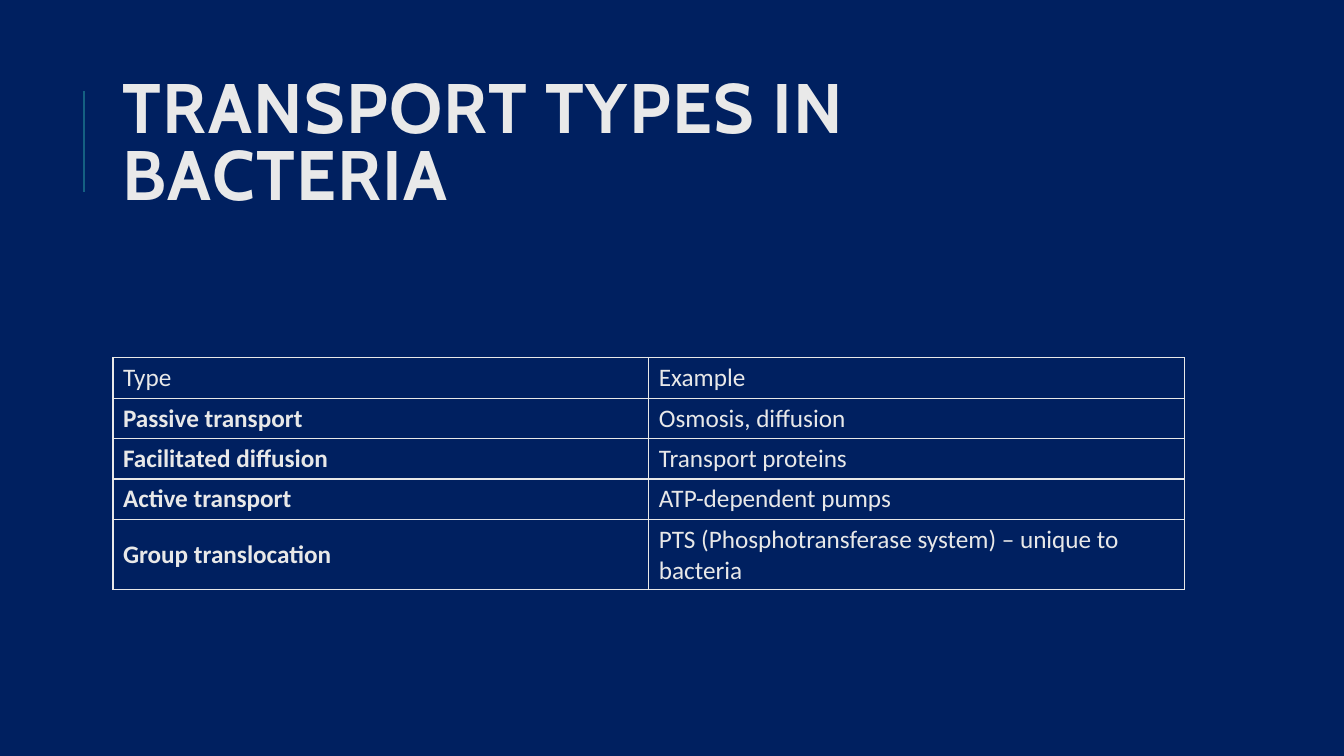
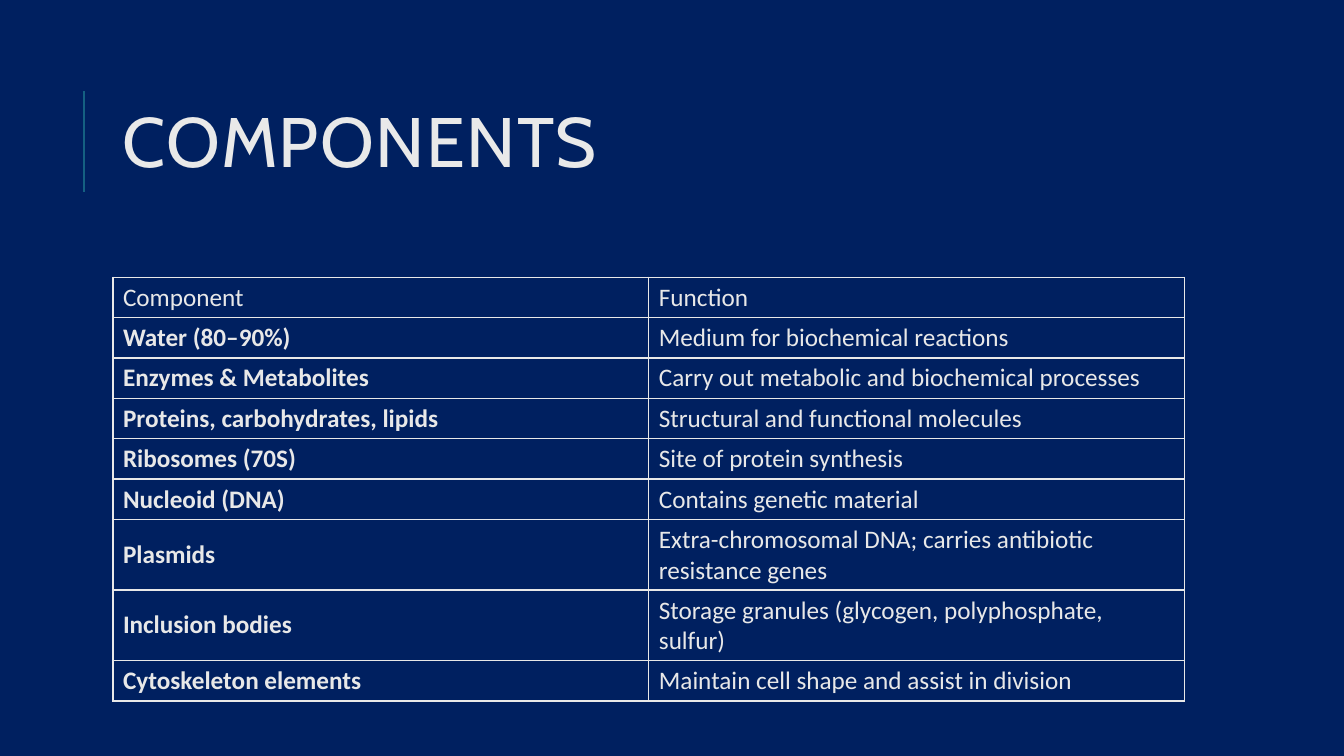
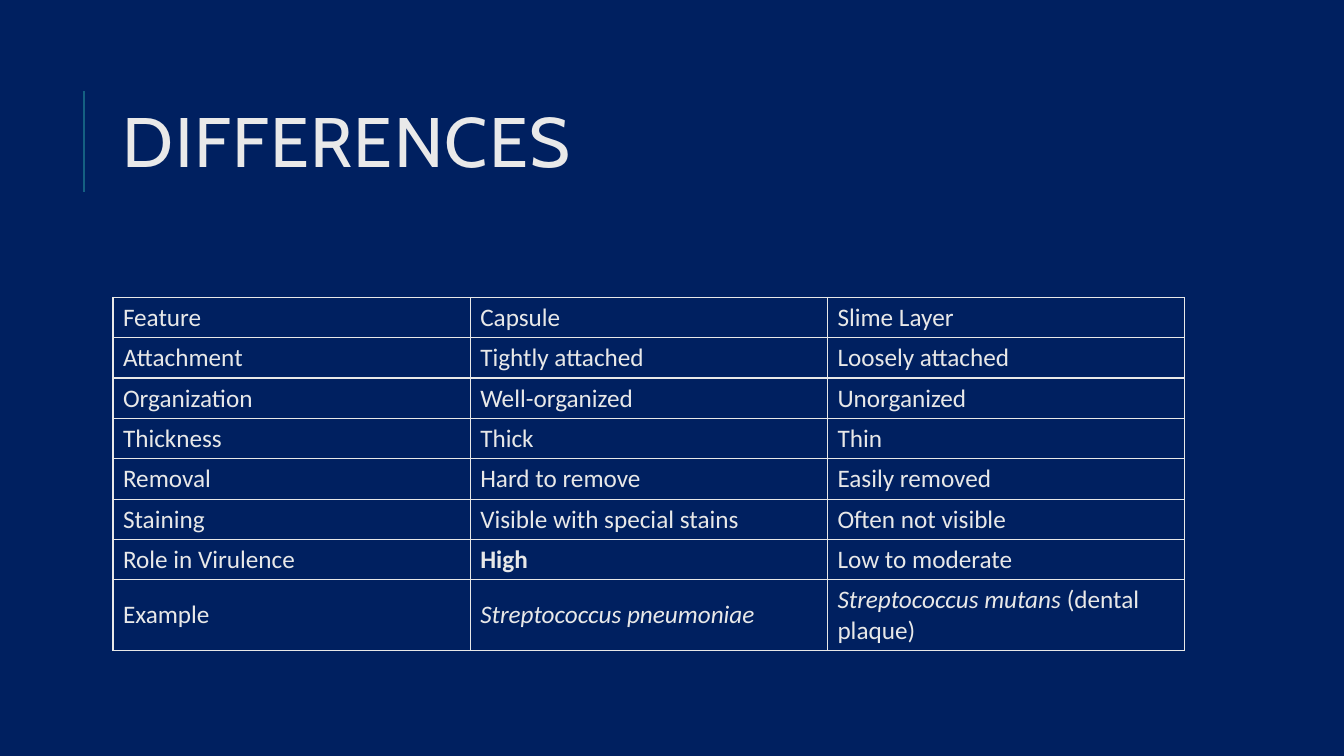
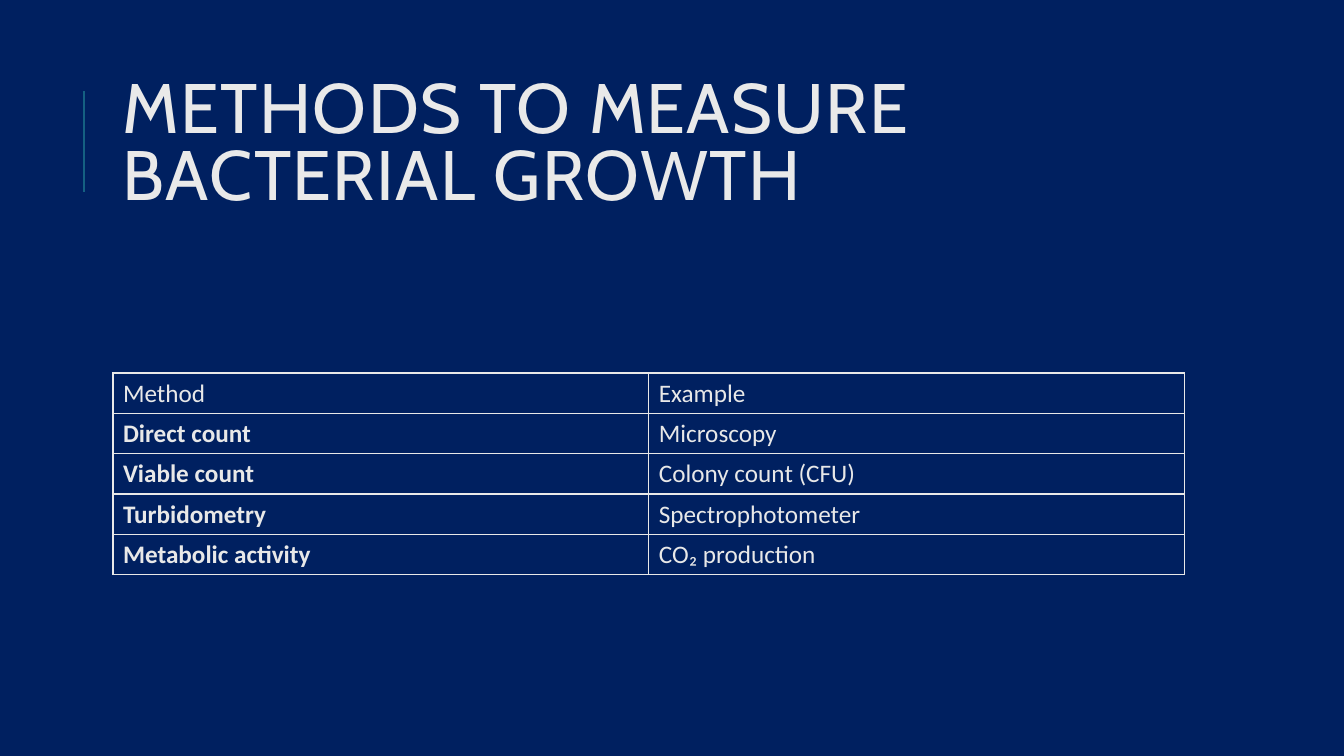
"""Build four slides of bacteriology tables on a dark blue background."""
import lxml.etree
import pptx
import pptx.dml.color
import pptx.enum.shapes
import pptx.enum.text
import pptx.oxml.ns
import pptx.util

Inches = pptx.util.Inches
Pt = pptx.util.Pt
RGBColor = pptx.dml.color.RGBColor
qn = pptx.oxml.ns.qn

NAVY = RGBColor(0x00, 0x20, 0x60)
TEAL = RGBColor(0x15, 0x60, 0x82)
TITLE_GREY = RGBColor(0xE9, 0xE9, 0xE9)
TABLE_GREY = RGBColor(0xE8, 0xE8, 0xE8)

LEFT = 1.12
CONTENT_WIDTH = 10.63
ROW_HEIGHT = 0.4
MIDDLE = pptx.enum.text.MSO_ANCHOR.MIDDLE

TITLE_FORMAT = {"name": "Cabin", "size": Pt(50)}
CELL_FORMAT = {"name": "Calibri", "size": Pt(18)}
BOLD = {"bold": True}
ITALIC = {"italic": True}

TRANSPORT_ROWS = [
    ("Type", "Example"),
    ("Passive transport", "Osmosis, diffusion"),
    ("Facilitated diffusion", "Transport proteins"),
    ("Active transport", "ATP-dependent pumps"),
    ("Group translocation", "PTS (Phosphotransferase system) – unique to bacteria"),
]
COMPONENT_ROWS = [
    ("Component", "Function"),
    ("Water (80–90%)", "Medium for biochemical reactions"),
    ("Enzymes & Metabolites", "Carry out metabolic and biochemical processes"),
    ("Proteins, carbohydrates, lipids", "Structural and functional molecules"),
    ("Ribosomes (70S)", "Site of protein synthesis"),
    ("Nucleoid (DNA)", "Contains genetic material"),
    ("Plasmids", "Extra-chromosomal DNA; carries antibiotic resistance genes"),
    ("Inclusion bodies", "Storage granules (glycogen, polyphosphate, sulfur)"),
    ("Cytoskeleton elements", "Maintain cell shape and assist in division"),
]
DIFFERENCE_ROWS = [
    ("Feature", "Capsule", "Slime Layer"),
    ("Attachment", "Tightly attached", "Loosely attached"),
    ("Organization", "Well-organized", "Unorganized"),
    ("Thickness", "Thick", "Thin"),
    ("Removal", "Hard to remove", "Easily removed"),
    ("Staining", "Visible with special stains", "Often not visible"),
    ("Role in Virulence", [("High", BOLD)], "Low to moderate"),
    ("Example", [("Streptococcus pneumoniae", ITALIC)],
     [("Streptococcus mutans", ITALIC), (" (dental plaque)", {})]),
]
METHOD_ROWS = [
    ("Method", "Example"),
    ("Direct count", "Microscopy"),
    ("Viable count", "Colony count (CFU)"),
    ("Turbidometry", "Spectrophotometer"),
    ("Metabolic activity", "CO₂ production"),
]


def bold_labels(rows):
    """Make the first cell of every row below the header bold."""
    return rows[:1] + [([(label, BOLD)], *rest) for label, *rest in rows[1:]]


def add_span(para, text, color, *formats):
    """Add a run of text in the given colour and formats."""
    span = para.add_run()
    span.text = text
    span.font.color.rgb = color
    for values in formats:
        for name, value in values.items():
            setattr(span.font, name, value)
    return span


def add_side_line(page):
    """Draw the thin vertical line left of the title."""
    line = page.shapes.add_connector(
        pptx.enum.shapes.MSO_CONNECTOR.STRAIGHT,
        Inches(0.83), Inches(1.9), Inches(0.83), Inches(0.9))
    line.line.color.rgb = TEAL
    line.line.width = Pt(1.5)
    lxml.etree.SubElement(line._element.spPr, qn("a:effectLst"))


def add_title(page, text, bold):
    """Add the large title, centred vertically in its box."""
    box = page.shapes.add_textbox(
        Inches(LEFT), Inches(0.64), Inches(CONTENT_WIDTH), Inches(1.64))
    frame = box.text_frame
    frame.word_wrap = True
    frame.vertical_anchor = MIDDLE
    para = frame.paragraphs[0]
    para.line_spacing = 0.8
    span = add_span(para, text, TITLE_GREY, TITLE_FORMAT, {"bold": bold})
    span.font._element.set("spc", "100")


def add_borders(cell):
    """Draw a one-point line on all four sides of a cell."""
    properties = cell._tc.get_or_add_tcPr()
    for side in ("a:lnL", "a:lnR", "a:lnT", "a:lnB"):
        border = lxml.etree.SubElement(properties, qn(side), w=str(Pt(1)))
        fill = lxml.etree.SubElement(border, qn("a:solidFill"))
        lxml.etree.SubElement(fill, qn("a:srgbClr"), val=str(TABLE_GREY))


def fill_cell(cell, content):
    """Write a plain string or a list of formatted spans into a cell."""
    add_borders(cell)
    cell.fill.background()
    cell.vertical_anchor = MIDDLE
    spans = [(content, {})] if isinstance(content, str) else content
    for text, values in spans:
        add_span(cell.text_frame.paragraphs[0], text, TABLE_GREY, CELL_FORMAT, values)


def add_grid(page, top, rows):
    """Add a bordered table with equal columns."""
    columns = len(rows[0])
    table = page.shapes.add_table(
        len(rows), columns, Inches(LEFT), Inches(top),
        Inches(CONTENT_WIDTH), Inches(ROW_HEIGHT * len(rows))).table
    table.first_row = False
    table.horz_banding = False
    for row_index, row in enumerate(rows):
        for column_index, content in enumerate(row):
            fill_cell(table.cell(row_index, column_index), content)


def add_page(deck, title, top, rows, bold=False):
    """Add one slide with its line, title and table."""
    page = deck.slides.add_slide(deck.slide_layouts[6])
    add_side_line(page)
    add_title(page, title, bold)
    add_grid(page, top, rows)


def main():
    """Build and save the deck."""
    deck = pptx.Presentation()
    deck.slide_width = Inches(13.33)
    deck.slide_height = Inches(7.5)
    background = deck.slide_master.background.fill
    background.solid()
    background.fore_color.rgb = NAVY
    add_page(deck, "TRANSPORT TYPES IN BACTERIA", 3.55, bold_labels(TRANSPORT_ROWS), bold=True)
    add_page(deck, "COMPONENTS", 2.75, bold_labels(COMPONENT_ROWS))
    add_page(deck, "DIFFERENCES", 2.95, DIFFERENCE_ROWS)
    add_page(deck, "METHODS TO MEASURE BACTERIAL GROWTH", 3.7, bold_labels(METHOD_ROWS))
    deck.save("out.pptx")


if __name__ == "__main__":
    main()
